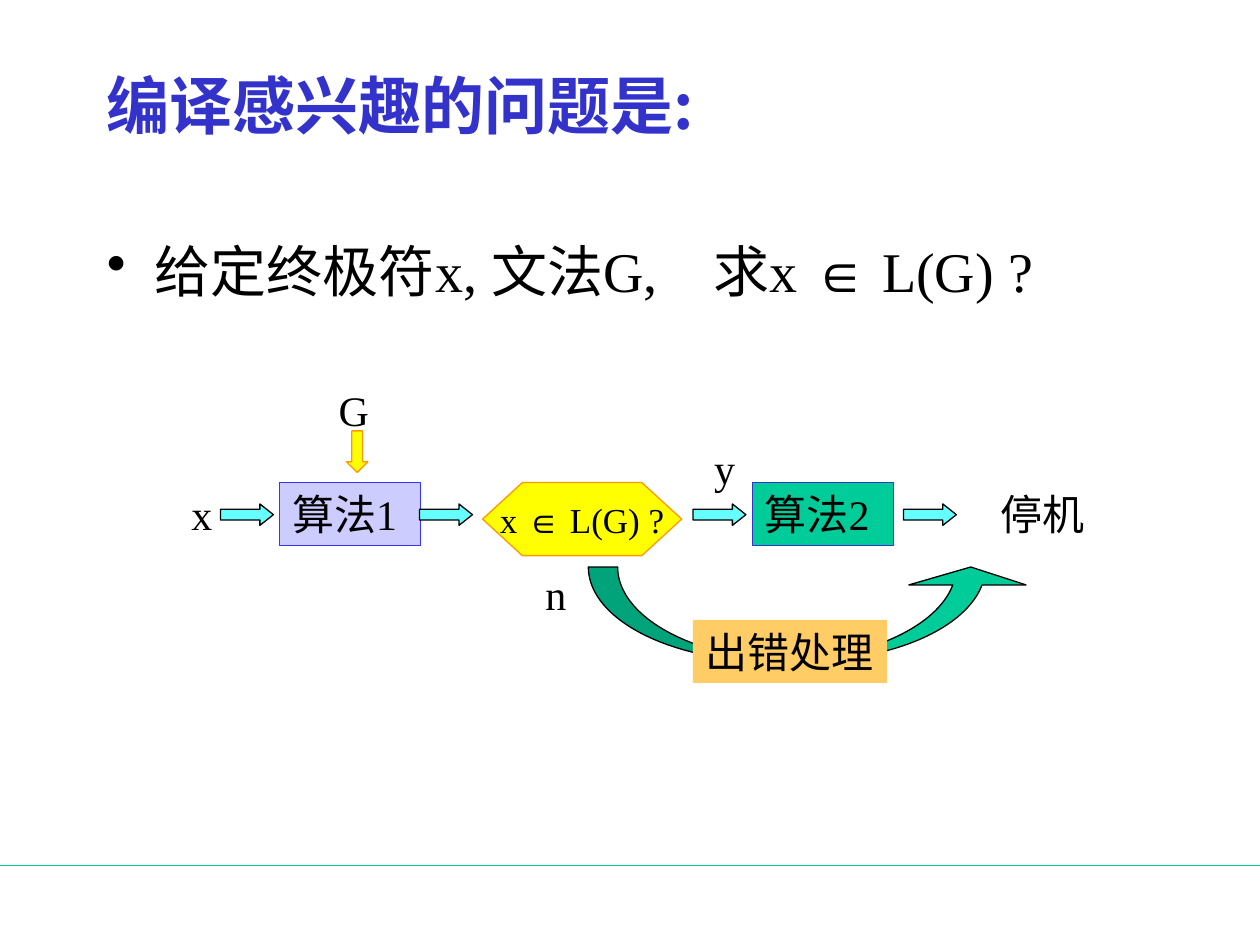
import pptx
import pptx.util
import pptx.dml.color
import pptx.enum.lang
import pptx.enum.shapes
import pptx.enum.text
import pptx.oxml
import pptx.oxml.ns
from pptx.util import Inches

SHAPE = pptx.enum.shapes.MSO_SHAPE
ANCHOR = pptx.enum.text.MSO_ANCHOR
ALIGN = pptx.enum.text.PP_ALIGN
SERIF, SANS, HEADING = "Times New Roman", "Arial", "Noto Sans CJK SC"

# Content: text and place (left, top, width, height)
TITLE = ("编译感兴趣的问题是:", (0.75, 0.33, 5.5, 1))
QUESTION = ("给定终极符x, 文法G,　求x ∈ L(G) ?", (0.75, 1.83, 8.5, 0.92))
TEST = ("x ∈ L(G) ?", (3.83, 3.83, 1.58, 0.58))
LABEL_HEIGHT = 0.5
ROW_TOP = 3.83
LABELS = [  # text, left, top, width
    ("x", 1.42, ROW_TOP, 0.36),
    ("G", 2.59, 3, 0.44),
    ("y", 5.57, 3.46, 0.36),
    ("n", 4.23, 4.46, 0.36),
    ("停机", 7.84, ROW_TOP, 0.9),
]
STEPS = [  # text, left, top, width, fill, line
    ("算法1", 2.22, ROW_TOP, 1.12, "CCCCFF", "3333FF"),
    ("算法2", 5.97, ROW_TOP, 1.12, "00CC99", "3333CC"),
    ("出错处理", 5.5, 4.92, 1.54, "FFCC66", None),
]
FLOW_ARROW_LEFTS = [1.75, 3.33, 5.5, 7.17]


def color(value):
    return pptx.dml.color.RGBColor.from_string(value)


def add_shape(page, kind, place, fill, line="000000", adjustments=()):
    shape = page.shapes.add_shape(kind, *map(Inches, place))
    shape.shadow.inherit = False
    shape.fill.solid()
    shape.fill.fore_color.rgb = color(fill)
    if line:
        shape.line.color.rgb = color(line)
        shape.line.width = pptx.util.Pt(0.75)
    else:
        shape.line.fill.background()
    for index, value in enumerate(adjustments):
        shape.adjustments[index] = value
    return shape


def write(box, text, size=24, font=SERIF, chinese_font=SANS, ink="000000", bold=False,
          bullet=False, wrap=False, grow=False, anchor=ANCHOR.TOP, align=ALIGN.LEFT):
    frame = box.text_frame
    frame.word_wrap = wrap
    frame.vertical_anchor = anchor
    if grow:
        frame.auto_size = pptx.enum.text.MSO_AUTO_SIZE.SHAPE_TO_FIT_TEXT
    para = frame.paragraphs[0]
    para.alignment = align
    if bullet:
        properties = para._p.get_or_add_pPr()
        properties.set("marL", str(Inches(0.38)))
        properties.set("indent", str(-Inches(0.38)))
        mark = pptx.oxml.parse_xml(
            f'<a:buChar {pptx.oxml.ns.nsdecls("a")} char="•"/>')
        properties.append(mark)
    # The membership sign has its own font
    before, sign, after = text.partition("∈")
    for part, face in ((before, font), (sign, SANS), (after, font)):
        if not part:
            continue
        span = para.add_run()
        span.text = part
        span.font.size = pptx.util.Pt(size)
        span.font.bold = bold
        span.font.color.rgb = color(ink)
        span.font.language_id = pptx.enum.lang.MSO_LANGUAGE_ID.SIMPLIFIED_CHINESE
        span.font.name = face
        span.font._element.append(pptx.oxml.parse_xml(
            f'<a:ea {pptx.oxml.ns.nsdecls("a")} typeface="{chinese_font}"/>'))


def add_text(page, text, place, **look):
    box = page.shapes.add_textbox(*map(Inches, place))
    write(box, text, **look)


def main():
    deck = pptx.Presentation()
    deck.slide_width, deck.slide_height = Inches(10), Inches(7.5)
    page = deck.slides.add_slide(deck.slide_layouts[6])

    # Footer rule
    rule = page.shapes.add_connector(
        pptx.enum.shapes.MSO_CONNECTOR.STRAIGHT,
        Inches(0), Inches(6.87), Inches(10), Inches(6.87))
    rule.line.color.rgb = color("00CC99")
    rule.line.width = pptx.util.Pt(0.75)
    rule._element.spPr.append(pptx.oxml.parse_xml(
        f'<a:effectLst {pptx.oxml.ns.nsdecls("a")}/>'))

    # Error path, behind its step
    add_shape(page, SHAPE.CURVED_UP_ARROW, (4.67, 4.5, 3.5, 0.75), "00CC99",
              adjustments=(0.31, 1.24, 0.19))

    # Title and question
    add_text(page, *TITLE, size=36, font=HEADING, chinese_font=HEADING, ink="3333CC",
             bold=True, wrap=True, anchor=ANCHOR.MIDDLE)
    add_text(page, *QUESTION, size=32, bullet=True, wrap=True)

    # Flow chart
    for text, left, top, width, fill, line in STEPS:
        step = add_shape(page, SHAPE.RECTANGLE, (left, top, width, LABEL_HEIGHT),
                         fill, line)
        write(step, text, grow=True)
    test_text, test_place = TEST
    test = add_shape(page, SHAPE.FLOWCHART_PREPARATION, test_place, "FFFF00", "FF9900")
    write(test, test_text, size=20, anchor=ANCHOR.MIDDLE, align=ALIGN.CENTER)
    for left in FLOW_ARROW_LEFTS:
        add_shape(page, SHAPE.RIGHT_ARROW, (left, 4, 0.42, 0.17), "66FFFF",
                  adjustments=(0.5, 0.63))
    add_shape(page, SHAPE.DOWN_ARROW, (2.75, 3.42, 0.17, 0.33), "FFFF00", "FF9900")
    for text, left, top, width in LABELS:
        add_text(page, text, (left, top, width, LABEL_HEIGHT), grow=True)

    deck.save("out.pptx")


if __name__ == "__main__":
    main()
